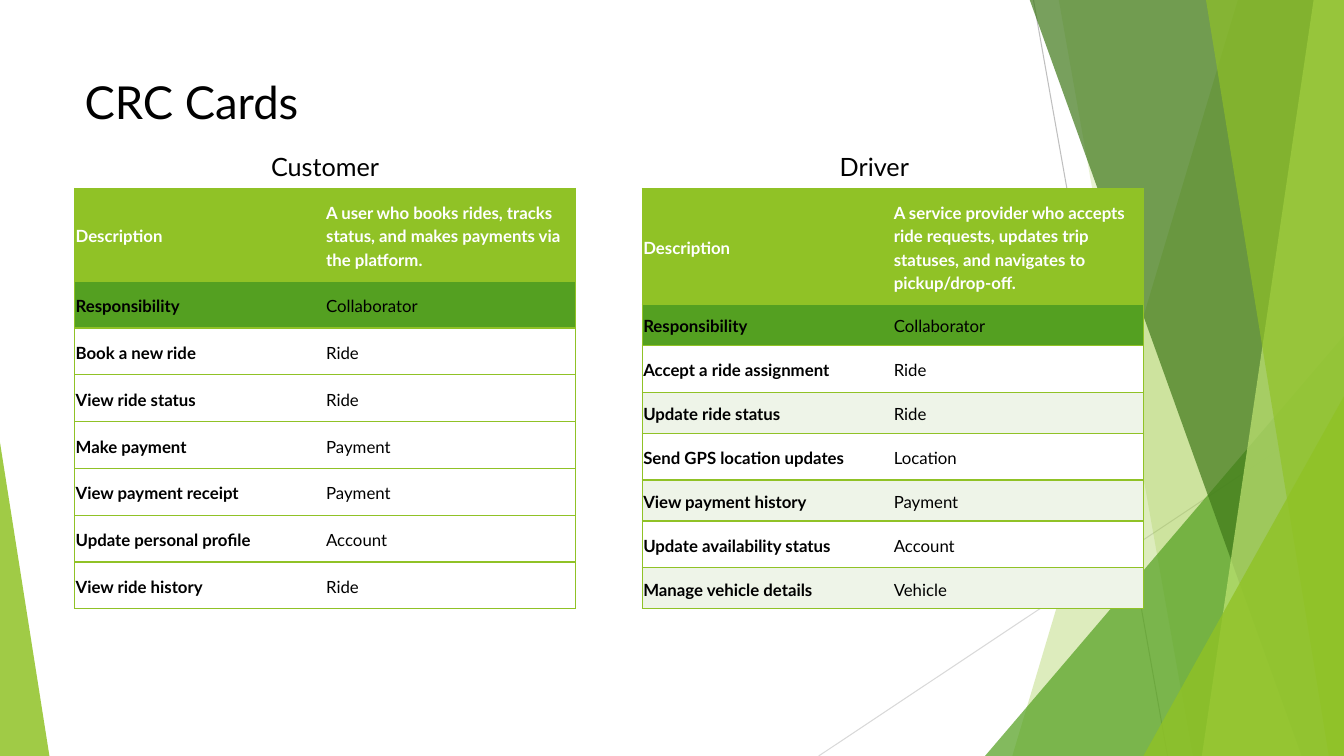
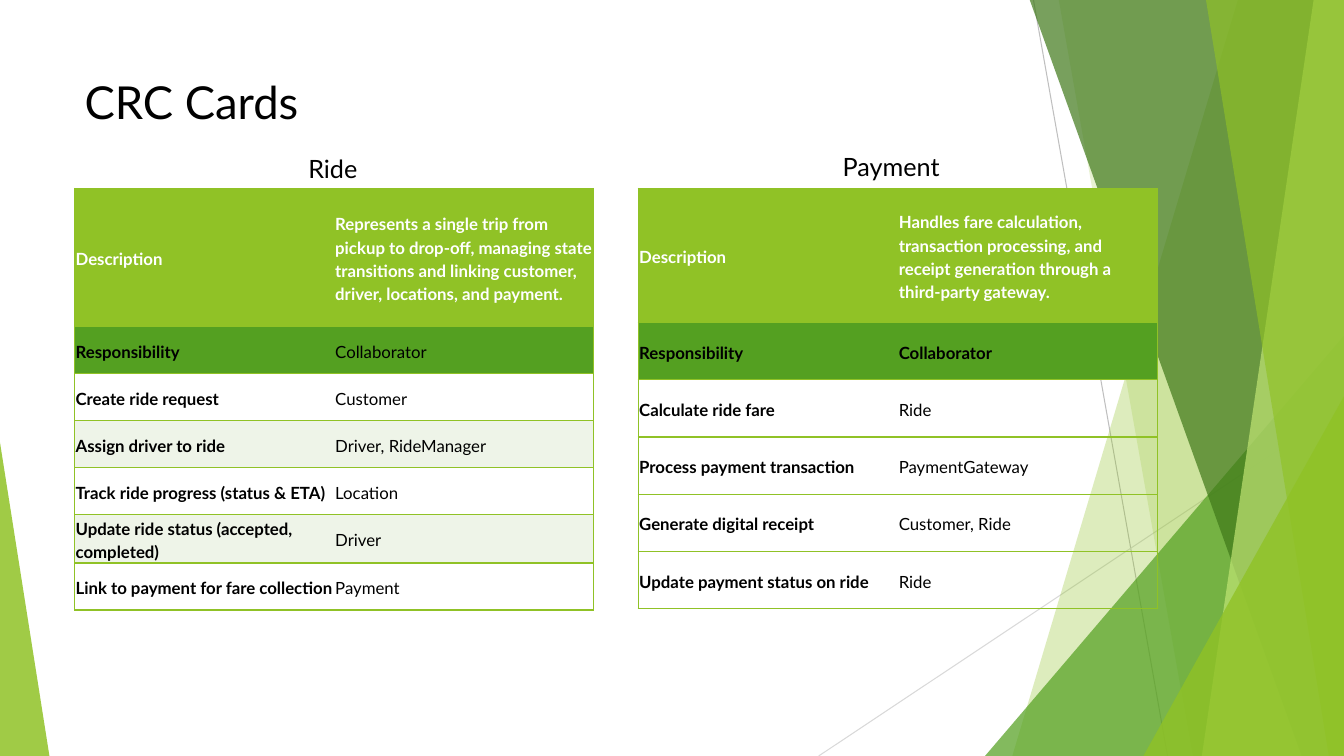
from dataclasses import dataclass
from itertools import cycle, islice

from lxml.etree import SubElement
from pptx import Presentation
from pptx.dml.color import RGBColor
from pptx.enum.shapes import MSO_CONNECTOR, MSO_SHAPE
from pptx.enum.text import MSO_ANCHOR
from pptx.oxml.ns import qn
from pptx.util import Inches, Pt


@dataclass(frozen=True)
class Theme:
    font: str = "Lato"
    text: str = "000000"
    white: str = "FFFFFF"
    lime: str = "90C226"
    pale_lime: str = "C0E474"
    green: str = "54A021"
    dark_green: str = "3F7819"
    band: str = "EEF4E8"
    grey: str = "BFBFBF"
    light_grey: str = "D9D9D9"
    title_size: float = 32.4
    heading_size: float = 18
    cell_size: float = 12


@dataclass(frozen=True)
class Card:
    name: str
    name_box: tuple
    left: float
    width: float
    header_height: float
    description: str
    duties: tuple
    fills: tuple = (T_WHITE := Theme.white, Theme.band)
    row_ratio: tuple = (1,)
    bold_collaborator: bool = False


T = Theme()
W, H = 13.33, 7.5
CARD_TOP, CARD_HEIGHT = 1.87, 4.17
NO_STYLE = "{2D5ABB26-0587-4C30-8999-92F81FD0307C}"

SLIDES = (
    (
        Card("Customer", (2.59, 1.45, 1.27), 0.74, 4.97, 0.92,
             "A user who books rides, tracks status, and makes payments via the platform.",
             (("Book a new ride", "Ride"),
              ("View ride status", "Ride"),
              ("Make payment", "Payment"),
              ("View payment receipt", "Payment"),
              ("Update personal profile", "Account"),
              ("View ride history", "Ride")),
             fills=(None,)),
        Card("Driver", (8.23, 1.45, 0.89), 6.37, 4.97, 1.15,
             "A service provider who accepts ride requests, updates trip statuses, "
             "and navigates to pickup/drop-off.",
             (("Accept a ride assignment", "Ride"),
              ("Update ride status", "Ride"),
              ("Send GPS location updates", "Location"),
              ("View payment history", "Payment"),
              ("Update availability status", "Account"),
              ("Manage vehicle details", "Vehicle")),
             row_ratio=(0.41, 0.47)),
    ),
    (
        Card("Ride", (2.96, 1.47, 0.7), 0.74, 5.15, 1.37,
             "Represents a single trip from pickup to drop-off, managing state "
             "transitions and linking customer, driver, locations, and payment.",
             (("Create ride request", "Customer"),
              ("Assign driver to ride", "Driver, RideManager"),
              ("Track ride progress (status & ETA)", "Location"),
              ("Update ride status (accepted, completed)", "Driver"),
              ("Link to payment for fare collection", "Payment"))),
        Card("Payment", (8.26, 1.45, 1.18), 6.33, 5.15, 1.33,
             "Handles fare calculation, transaction processing, and receipt "
             "generation through a third-party gateway.",
             (("Calculate ride fare", "Ride"),
              ("Process payment transaction", "PaymentGateway"),
              ("Generate digital receipt", "Customer, Ride"),
              ("Update payment status on ride", "Ride")),
             fills=(None,), bold_collaborator=True),
    ),
)


def rgb(color):
    return RGBColor.from_string(color)


def add_run(p, text, size, color=T.text, bold=False):
    r = p.add_run()
    r.text = text
    r.font.name = T.font
    r.font.size = Pt(size)
    r.font.bold = bold
    r.font.color.rgb = rgb(color)


def add_text(slide, text, box, size):
    tf = slide.shapes.add_textbox(*map(Inches, box)).text_frame
    tf.word_wrap = False
    tf.vertical_anchor = MSO_ANCHOR.MIDDLE
    add_run(tf.paragraphs[0], text, size)


def add_line(slide, start, end, color):
    line = slide.shapes.add_connector(
        MSO_CONNECTOR.STRAIGHT, *map(Inches, start + end))
    line.line.color.rgb = rgb(color)
    line.line.width = Pt(0.75)
    SubElement(line.element.spPr, qn("a:effectLst"))


def paint(sp, color, opacity):
    """Fill without outline or shadow; opacity is in percent."""
    sp.shadow.inherit = False
    sp.line.fill.background()
    sp.fill.solid()
    sp.fill.fore_color.rgb = rgb(color)
    clr = sp.element.spPr.find(qn("a:solidFill"))[0]
    SubElement(clr, qn("a:alpha"), val=str(opacity * 1000))


def add_shard(slide, top_x, bottom_x, color, opacity):
    """Full-height panel from a slanted left edge to the right of the slide."""
    top = -0.01
    fb = slide.shapes.build_freeform(Inches(top_x), Inches(top))
    corners = ((W, top), (W, H), (bottom_x, H))
    fb.add_line_segments([(Inches(x), Inches(y)) for x, y in corners])
    paint(fb.convert_to_shape(), color, opacity)


def add_triangle(slide, box, apex, color, opacity):
    sp = slide.shapes.add_shape(MSO_SHAPE.ISOSCELES_TRIANGLE, *map(Inches, box))
    sp.adjustments[0] = apex
    paint(sp, color, opacity)


def add_backdrop(slide):
    add_line(slide, (10.25, 0), (11.58, H), T.grey)
    add_line(slide, (W, 4.03), (8.12, H), T.light_grey)
    add_shard(slide, 12.28, 10.04, T.lime, 30)
    add_shard(slide, 10.5, 11.83, T.lime, 20)
    add_triangle(slide, (9.77, 3.33, 3.56, 4.17), 1, T.green, 72)
    add_shard(slide, 10.21, 12.91, T.dark_green, 70)
    add_shard(slide, 13.03, 11.92, T.pale_lime, 70)
    add_shard(slide, 11.96, 13.18, T.lime, 65)
    add_triangle(slide, (11.34, 3.93, 1.99, 3.57), 1, T.lime, 80)
    add_triangle(slide, (0, 4.39, 0.49, 3.11), 0, T.lime, 85)


def move_to_layout(slide, layout):
    """Make the slide's shapes the shared background of its layout."""
    for ph in list(layout.placeholders):
        layout.shapes.element.remove(ph.element)
    for sp in list(slide.shapes):
        layout.shapes.element.append(sp.element)


def set_borders(cell, open_side):
    tc_pr = cell._tc.get_or_add_tcPr()
    for side in ("lnL", "lnR", "lnT", "lnB"):
        ln = SubElement(tc_pr, qn(f"a:{side}"), w=str(Pt(1)))
        if side == open_side:
            SubElement(ln, qn("a:noFill"))
        else:
            fill = SubElement(ln, qn("a:solidFill"))
            SubElement(fill, qn("a:srgbClr"), val=T.lime)


def fill_cell(cell, text, fill, color, bold, open_side):
    set_borders(cell, open_side)
    if fill:
        cell.fill.solid()
        cell.fill.fore_color.rgb = rgb(fill)
    else:
        cell.fill.background()
    cell.vertical_anchor = MSO_ANCHOR.MIDDLE
    cell.margin_left = cell.margin_right = Inches(0.01)
    cell.margin_top = cell.margin_bottom = Inches(0.01)
    p = cell.text_frame.paragraphs[0]
    p.line_spacing = 1.15
    p.space_after = Pt(8)
    add_run(p, text, T.cell_size, color, bold)


def add_card(slide, card):
    add_text(slide, card.name, (*card.name_box, 0.4), T.heading_size)

    # Each row: texts, fill, text colour, bold in the second column
    rows = [(("Description", card.description), T.lime, T.white, True),
            (("Responsibility", "Collaborator"), T.green, T.text,
             card.bold_collaborator)]
    rows += [(duty, fill, T.text, False)
             for duty, fill in zip(card.duties, cycle(card.fills))]

    table = slide.shapes.add_table(
        len(rows), 2, Inches(card.left), Inches(CARD_TOP),
        Inches(card.width), Inches(CARD_HEIGHT)).table
    table.first_row = table.horz_banding = False
    table._tbl.tblPr.find(qn("a:tableStyleId")).text = NO_STYLE

    ratios = list(islice(cycle(card.row_ratio), len(rows) - 1))
    unit = (CARD_HEIGHT - card.header_height) / sum(ratios)
    heights = [card.header_height] + [unit * ratio for ratio in ratios]

    for i, (texts, fill, color, bold) in enumerate(rows):
        table.rows[i].height = Inches(heights[i])
        fill_cell(table.cell(i, 0), texts[0], fill, color, True, "lnR")
        fill_cell(table.cell(i, 1), texts[1], fill, color, bold, "lnL")


def main():
    prs = Presentation()
    prs.slide_width, prs.slide_height = Inches(W), Inches(H)
    layout = prs.slide_layouts[6]
    slides = [prs.slides.add_slide(layout) for _ in SLIDES]
    add_backdrop(slides[0])
    move_to_layout(slides[0], layout)
    for slide, cards in zip(slides, SLIDES):
        add_text(slide, "CRC Cards", (0.74, 0.67, 2.62, 0.67), T.title_size)
        for card in cards:
            add_card(slide, card)
    prs.save("out.pptx")


if __name__ == "__main__":
    main()
